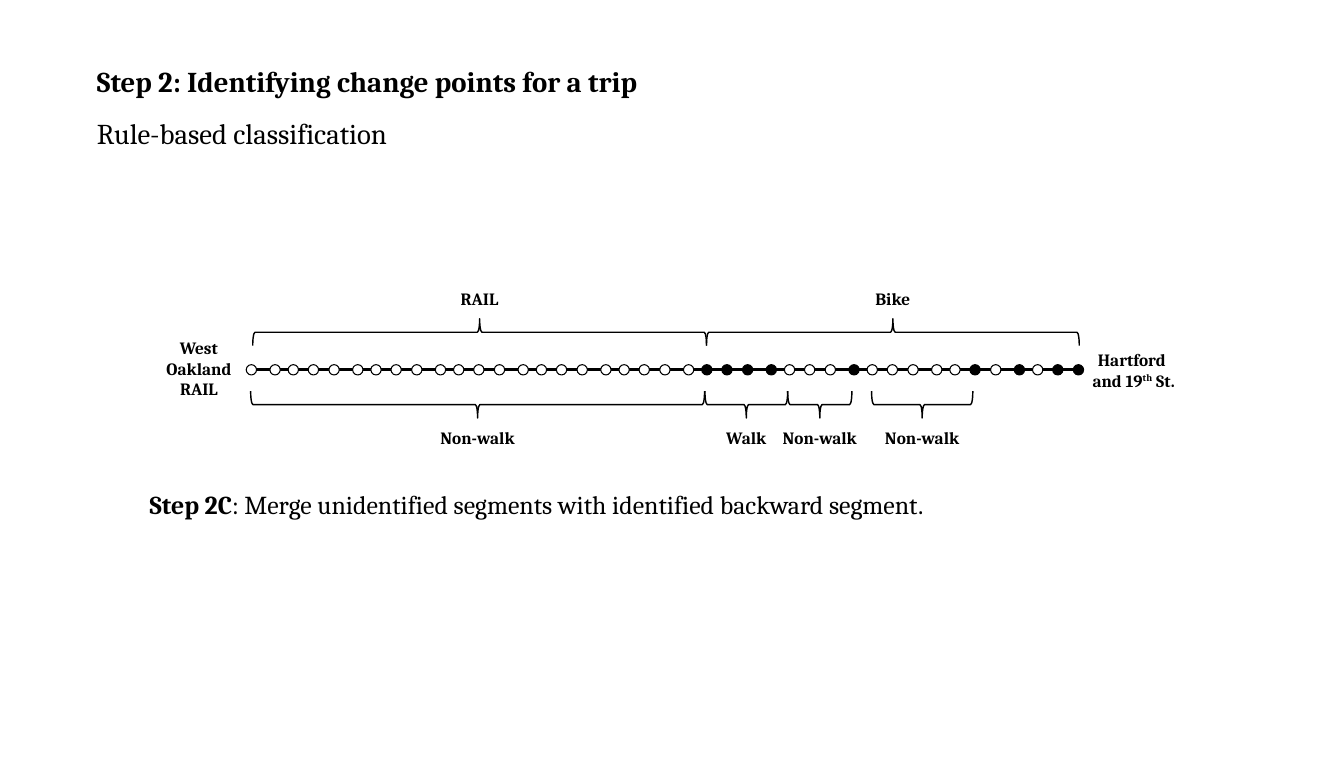
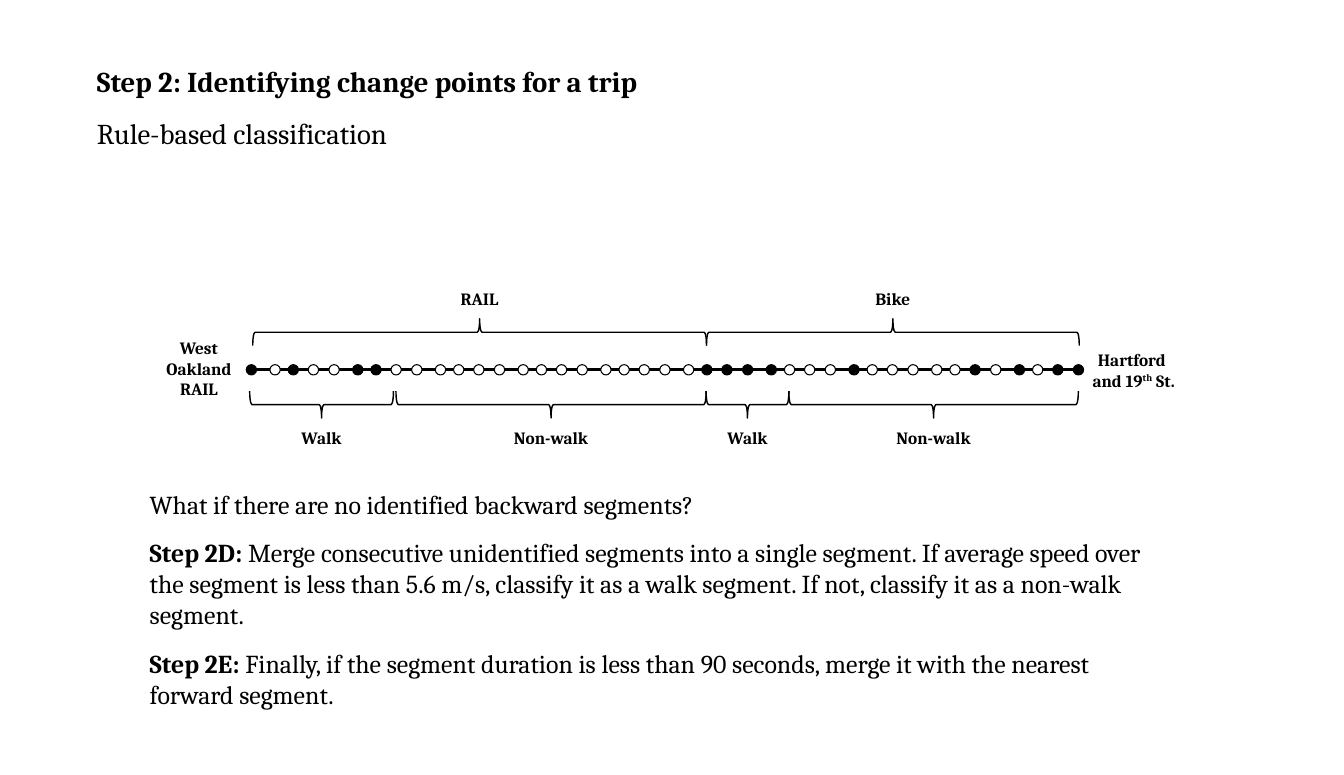
from dataclasses import dataclass

from lxml import etree
from pptx import Presentation
from pptx import slide as sl
from pptx import util as u
from pptx.dml import color
from pptx.enum import shapes, text
from pptx.oxml import ns

FONT = "Cambria"
BLACK, WHITE = "000000", "FFFFFF"

# Row of dots: four uneven steps that recur, in points
FIRST, CYCLE, STEPS = 171.5, 57.6, (0, 16.5, 29.2, 43.2)
COUNT, DOT, AXIS = 41, 7.2, 257.7
DEPTH = 18.7


@dataclass(frozen=True)
class Bit:
    text: str
    bold: bool = False
    lift: int = 0


@dataclass(frozen=True)
class Box:
    left: float
    top: float
    width: float
    height: float


@dataclass(frozen=True)
class Span:
    start: float
    end: float
    word: str


@dataclass(frozen=True)
class Side:
    mid: float
    turn: int
    label: float


@dataclass(frozen=True)
class Page:
    dark: set[int]
    spans: list[Span]
    notes: list[list[Bit]]
    note_box: Box


# Parts both slides share
ABOVE = Side(231.5, 90, 197.3)
BELOW = Side(281.9, 270, 294.3)
MODES = [Span(176, 492, "RAIL"), Span(492, 751.6, "Bike")]
TITLE = [
    [Bit("Step 2: Identifying change points for a trip", True)],
    [Bit("Rule-based classification")],
]
ORIGIN = [[Bit("West Oakland RAIL", True)]]
GOAL = [
    [Bit("Hartford ", True)],
    [Bit("and 19", True), Bit("th", True, 30000), Bit(" St.", True)],
]
DARK = {22, 23, 24, 25, 29, 35, 37, 39, 40}

PAGES = [
    Page(
        DARK,
        [
            Span(174.6, 490.7, "Non-walk"),
            Span(491, 548.6, "Walk"),
            Span(548.6, 593.3, "Non-walk"),
            Span(607, 677.5, "Non-walk"),
        ],
        [[
            Bit("Step 2C", True),
            Bit(": Merge unidentified segments with identified backward segment."),
        ]],
        Box(97.2, 337, 730.8, 28.8),
    ),
    Page(
        DARK | {0, 2, 5, 6},
        [
            Span(173.9, 274, "Walk"),
            Span(275.8, 491.8, "Non-walk"),
            Span(491.8, 549.4, "Walk"),
            Span(549.4, 751, "Non-walk"),
        ],
        [
            [Bit("What if there are no identified backward segments?")],
            [
                Bit("Step 2D: ", True),
                Bit("Merge consecutive unidentified segments into a single segment. "
                    "If average speed over the segment is less than 5.6 m/s, classify "
                    "it as a walk segment. If not, classify it as a non-walk segment."),
            ],
            [
                Bit("Step 2E: ", True),
                Bit("Finally, if the segment duration is less than 90 seconds, "
                    "merge it with the nearest forward segment."),
            ],
        ],
        Box(97.2, 337, 730.8, 140.4),
    ),
]


def rgb(code: str) -> color.RGBColor:
    return color.RGBColor.from_string(code)


def frame(box: Box) -> list[u.Length]:
    return [u.Pt(v) for v in (box.left, box.top, box.width, box.height)]


def write(slide: sl.Slide, box: Box, paras: list[list[Bit]], size: float,
          after: float = 0, center: bool = False) -> None:
    body = slide.shapes.add_textbox(*frame(box)).text_frame
    body.word_wrap = True
    body.auto_size = text.MSO_AUTO_SIZE.SHAPE_TO_FIT_TEXT
    for i, bits in enumerate(paras):
        para = body.add_paragraph() if i else body.paragraphs[0]
        para.alignment = text.PP_ALIGN.CENTER if center else text.PP_ALIGN.LEFT
        para.space_after = u.Pt(after)
        for bit in bits:
            run = para.add_run()
            run.text = bit.text
            run.font.name, run.font.size = FONT, u.Pt(size)
            run.font.bold = bit.bold
            run.font.color.rgb = rgb(BLACK)
            if bit.lift:
                run._r.get_or_add_rPr().set("baseline", str(bit.lift))


def draw_axis(slide: sl.Slide) -> None:
    line = slide.shapes.add_connector(
        shapes.MSO_CONNECTOR.STRAIGHT,
        u.Pt(175.5), u.Pt(AXIS), u.Pt(747.5), u.Pt(AXIS))
    line.line.color.rgb = rgb(BLACK)
    line.line.width = u.Pt(2)
    etree.SubElement(line._element.spPr, ns.qn("a:effectLst"))


def draw_dot(slide: sl.Slide, i: int, fill: str) -> None:
    left = FIRST + i // len(STEPS) * CYCLE + STEPS[i % len(STEPS)]
    dot = slide.shapes.add_shape(
        shapes.MSO_SHAPE.OVAL, *frame(Box(left, AXIS - DOT / 2, DOT, DOT)))
    dot.shadow.inherit = False
    dot.fill.solid()
    dot.fill.fore_color.rgb = rgb(fill)
    dot.line.color.rgb = rgb(BLACK)
    dot.line.width = u.Pt(0.75)


def draw_span(slide: sl.Slide, span: Span, side: Side) -> None:
    mid, size = (span.start + span.end) / 2, span.end - span.start
    # The brace stands upright before it is turned about its centre
    box = Box(mid - DEPTH / 2, side.mid - size / 2, DEPTH, size)
    brace = slide.shapes.add_shape(shapes.MSO_SHAPE.LEFT_BRACE, *frame(box))
    brace.rotation = side.turn
    brace.shadow.inherit = False
    brace.fill.background()
    brace.line.color.rgb = rgb(BLACK)
    brace.line.width = u.Pt(1)
    write(slide, Box(mid - 34.5, side.label, 69, 21.6),
          [[Bit(span.word, True)]], 12, center=True)


def draw_page(slide: sl.Slide, page: Page) -> None:
    # Heading and notes
    write(slide, Box(60.5, 41, 800, 67.7), TITLE, 20, after=12)
    write(slide, page.note_box, page.notes, 18,
          after=12 if len(page.notes) > 1 else 0)

    # Trip line with its two ends
    draw_axis(slide)
    for i in range(COUNT):
        draw_dot(slide, i, BLACK if i in page.dark else WHITE)
    write(slide, Box(107.3, 231.4, 62.6, 51.1), ORIGIN, 12, center=True)
    write(slide, Box(751.4, 239.8, 76.3, 36), GOAL, 12, center=True)

    # Braces
    for side, spans in ((ABOVE, MODES), (BELOW, page.spans)):
        for span in spans:
            draw_span(slide, span, side)


def main() -> None:
    deck = Presentation()
    deck.slide_width, deck.slide_height = u.Pt(936), u.Pt(540)
    for page in PAGES:
        draw_page(deck.slides.add_slide(deck.slide_layouts[6]), page)
    deck.save("out.pptx")


if __name__ == "__main__":
    main()
